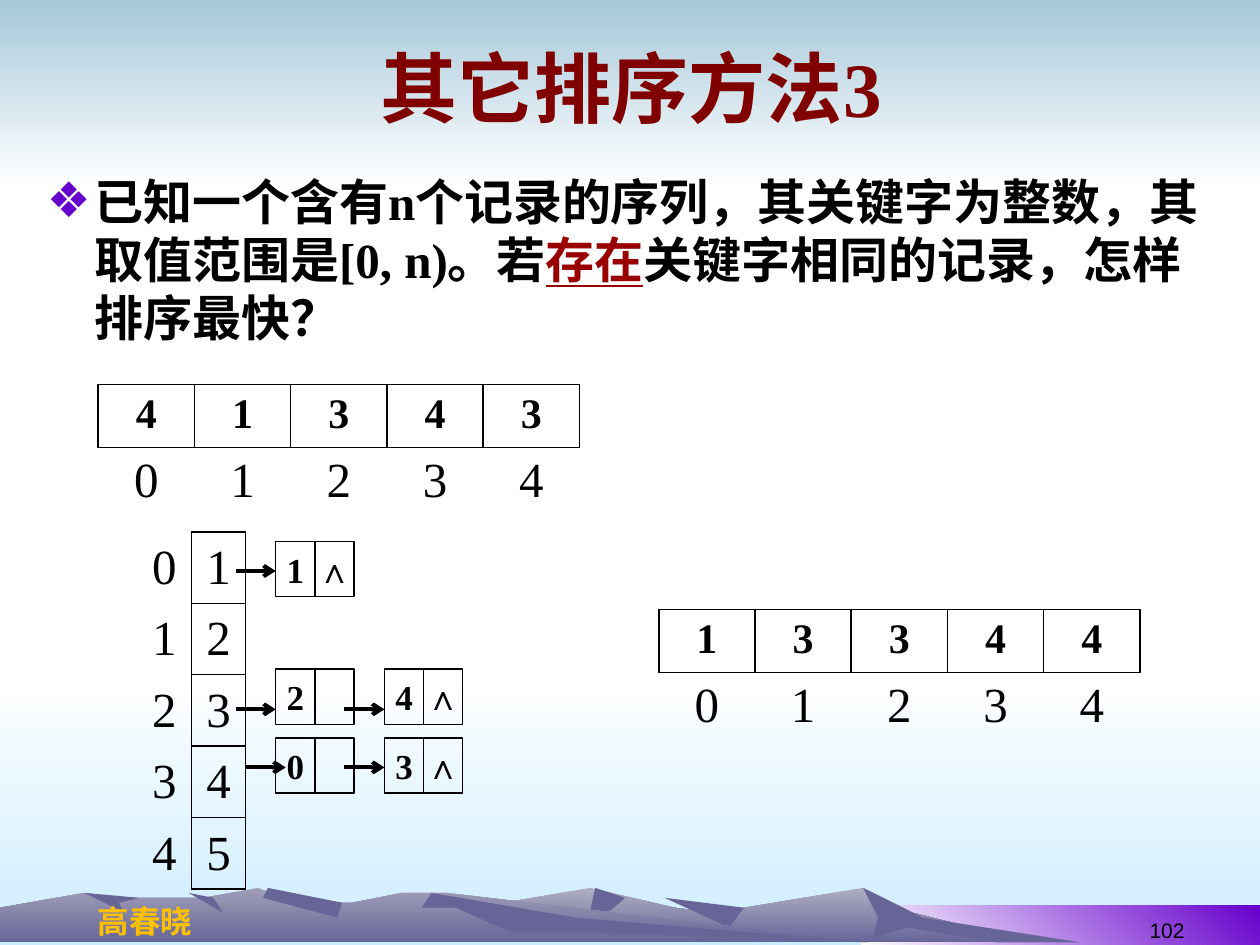
from lxml import etree
from pptx import Presentation
from pptx.dml.color import RGBColor
from pptx.enum.shapes import MSO_CONNECTOR, MSO_SHAPE
from pptx.enum.text import MSO_ANCHOR, MSO_AUTO_SIZE, PP_ALIGN
from pptx.oxml.ns import qn
from pptx.util import Cm, Pt

CENTER, RIGHT = PP_ALIGN.CENTER, PP_ALIGN.RIGHT
TOP, MIDDLE, BOTTOM = MSO_ANCHOR.TOP, MSO_ANCHOR.MIDDLE, MSO_ANCHOR.BOTTOM
RECTANGLE, STRAIGHT = MSO_SHAPE.RECTANGLE, MSO_CONNECTOR.STRAIGHT
SERIF, SANS, CJK = "Times New Roman", "Arial", "Noto Sans CJK SC"
NO_TABLE_STYLE = "{2D5ABB26-0587-4C30-8999-92F81FD0307C}"
BLACK, ROCK = "000000", "676597"


def rgb(hex_colour):
    return RGBColor.from_string(hex_colour)


def add_run(paragraph, text, size, colour=BLACK, font=SERIF, bold=True):
    run = paragraph.add_run()
    run.text = text
    run.font.size = Pt(size)
    run.font.bold = bold
    run.font.name = font
    run.font.color.rgb = rgb(colour)
    etree.SubElement(run.font._element, qn("a:ea"), typeface=CJK)
    return run


prs = Presentation()
prs.slide_width, prs.slide_height = Cm(25.4), Cm(19.05)
slide = prs.slides.add_slide(prs.slide_layouts[1])
shapes = slide.shapes

# Sky, ground and corner bands
scenery = []
for left, top, width, height, start, end, angle in [
    (0, 13.55, 25.4, 5.5, "FFFFFF", "CCECFF", 270),
    (0, 0, 25.4, 3.81, "A6C9DA", "FFFFFF", 270),
    (17.35, 18.25, 8.05, 0.8, "FFFFFF", "6600CC", 45),
]:
    band = shapes.add_shape(RECTANGLE, Cm(left), Cm(top), Cm(width), Cm(height))
    scenery.append((band, start, end, angle))

# Mountain ranges and their shaded faces, in tenths of a centimetre
for start, outline in [
    ("AEAEC2", [(66, 190.5), (90, 184), (119, 179), (136, 183), (144, 184), (174, 179),
                (184, 184), (208, 190.5)]),
    (ROCK, [(174, 179), (177, 185), (176, 189), (183, 187), (201, 190.5), (218, 190.5),
            (186, 185)]),
    (ROCK, [(120, 179), (118, 188), (126, 181)]),
    (ROCK, [(134, 181), (147, 187), (150, 183)]),
    ("9F9EB8", [(0, 190.5), (0, 183), (17, 179.5), (24, 181), (41, 181), (52, 179), (60, 182),
                (71, 182), (81, 180), (90, 180), (175, 190.5)]),
    (ROCK, [(54, 179), (53, 181), (68, 185), (69, 182)]),
    (ROCK, [(87, 180), (85, 183), (92, 183), (103, 188), (120, 188), (175, 190.5), (116, 185)]),
    (ROCK, [(17, 180), (21, 182), (25, 184), (24, 182), (28, 181)]),
    (ROCK, [(38, 180), (45, 184), (43, 181)]),
]:
    builder = shapes.build_freeform(*outline[0], scale=Cm(0.1))
    builder.add_line_segments(outline[1:], close=True)
    scenery.append((builder.convert_to_shape(), start, ROCK, 270))

for land, start, end, angle in scenery:
    land.shadow.inherit = False
    land.line.fill.background()
    if start == end:
        land.fill.solid()
        land.fill.fore_color.rgb = rgb(start)
    else:
        land.fill.gradient()
        land.fill.gradient_angle = angle
        for stop, colour in zip(land.fill.gradient_stops, (start, end)):
            stop.color.rgb = rgb(colour)

# Title and question, brought in front of the scenery
title, question = shapes.title, slide.placeholders[1]
for holder, left, top, width, height, anchor in [
    (title, 1.3, 0.33, 22.86, 2.84, MIDDLE),
    (question, 0.69, 3.33, 24, 14.4, TOP),
]:
    shapes._spTree.append(holder._element)
    holder.left, holder.top, holder.width, holder.height = Cm(left), Cm(top), Cm(width), Cm(height)
    holder.text_frame.auto_size = MSO_AUTO_SIZE.NONE
    holder.text_frame.vertical_anchor = anchor

heading = title.text_frame.paragraphs[0]
heading.alignment = CENTER
add_run(heading, "其它排序方法3", 44, "800000")

problem = question.text_frame.paragraphs[0]
properties = problem._p.get_or_add_pPr()
properties.set("marL", str(Cm(0.96)))
properties.set("indent", str(Cm(-0.96)))
bullet_colour = etree.SubElement(properties, qn("a:buClr"))
etree.SubElement(bullet_colour, qn("a:srgbClr"), val="6600CC")
etree.SubElement(properties, qn("a:buChar"), char="❖")
problem.space_before = Pt(0)
problem.line_spacing = Pt(33.4)
add_run(problem, "已知一个含有n个记录的序列，其关键字为整数，其取值范围是[0, n)。若", 28)
add_run(problem, "存在", 28, "990000").font.underline = True
add_run(problem, "关键字相同的记录，怎样排序最快？", 28)

# Author and page number
for text, left, top, width, height, size, colour, font, bold, align, anchor in [
    ("高春晓", 1.7, 18.06, 2.44, 1.02, 18, "FFC000", CJK, True, CENTER, MIDDLE),
    ("102", 18.21, 17.86, 5.92, 1.27, 12, BLACK, SANS, False, RIGHT, BOTTOM),
]:
    footer = shapes.add_textbox(Cm(left), Cm(top), Cm(width), Cm(height)).text_frame
    footer.word_wrap = align == RIGHT
    footer.vertical_anchor = anchor
    footer.paragraphs[0].alignment = align
    add_run(footer.paragraphs[0], text, size, colour, font, bold)

# Tables: input records, bucket heads, sorted records; indexes stay unboxed
indexes = "01234"
buckets = list(zip(indexes, "12345"))
for left, top, column_width, row_heights, rows, is_array in [
    (1.98, 7.75, 1.94, [1.19, 1.35], ["41343", indexes], True),
    (2.77, 10.72, 1.09, [1.35] * 5, buckets, False),
    (13.28, 12.29, 1.94, [1.26, 1.35], ["13344", indexes], True),
]:
    columns = len(rows[0])
    frame = shapes.add_table(len(rows), columns, Cm(left), Cm(top),
                             Cm(column_width * columns), Cm(sum(row_heights)))
    table = frame.table
    table.first_row = table.horz_banding = False
    table._tbl.tblPr.find(qn("a:tableStyleId")).text = NO_TABLE_STYLE
    for column in table.columns:
        column.width = Cm(column_width)
    for r, values in enumerate(rows):
        table.rows[r].height = Cm(row_heights[r])
        for c, value in enumerate(values):
            cell = table.cell(r, c)
            record = is_array and r == 0
            if record or (not is_array and c == 1):
                for side in ("a:lnL", "a:lnR", "a:lnT", "a:lnB"):
                    border = etree.SubElement(cell._tc.get_or_add_tcPr(), qn(side), w=str(Pt(1)))
                    ink = etree.SubElement(border, qn("a:solidFill"))
                    etree.SubElement(ink, qn("a:srgbClr"), val=BLACK)
            cell.fill.background()
            cell.vertical_anchor = TOP if is_array else MIDDLE
            paragraph = cell.text_frame.paragraphs[0]
            paragraph.alignment = CENTER
            add_run(paragraph, value, 24 if record else 28, bold=record)

# Linked lists: node records, top, arrow drop, shift of the first arrow
FIRST_LEFT, NODE_STEP = 5.56, 2.19
CELL_WIDTH, CELL_HEIGHT, ARROW_LENGTH = 0.79, 1.11, 0.81
for records, top, arrow_drop, first_shift in [
    ("1", 10.92, 0.59, 0),
    ("24", 13.49, 0.81, 0),
    ("03", 14.88, 0.59, 0.2),
]:
    for n, record in enumerate(records):
        left = FIRST_LEFT + n * NODE_STEP
        link = "∧" if n == len(records) - 1 else ""
        for position, text in enumerate((record, link)):
            node = shapes.add_shape(RECTANGLE, Cm(left + position * CELL_WIDTH), Cm(top),
                                    Cm(CELL_WIDTH), Cm(CELL_HEIGHT))
            node.shadow.inherit = False
            node.fill.background()
            node.line.color.rgb = rgb(BLACK)
            node.line.width = Pt(0.75)
            node.text_frame.margin_left = node.text_frame.margin_right = 0
            node.text_frame.vertical_anchor = MIDDLE
            node.text_frame.paragraphs[0].alignment = CENTER
            if text:
                add_run(node.text_frame.paragraphs[0], text, 20)
        arrow_end = left + (first_shift if n == 0 else 0)
        arrow = shapes.add_connector(STRAIGHT, Cm(arrow_end - ARROW_LENGTH), Cm(top + arrow_drop),
                                     Cm(arrow_end), Cm(top + arrow_drop))
        arrow.line.color.rgb = rgb(BLACK)
        arrow.line.width = Pt(2.25)
        arrow_style = arrow._element.spPr
        etree.SubElement(arrow_style.find(qn("a:ln")), qn("a:tailEnd"), type="arrow")
        etree.SubElement(arrow_style, qn("a:effectLst"))

prs.save("out.pptx")
